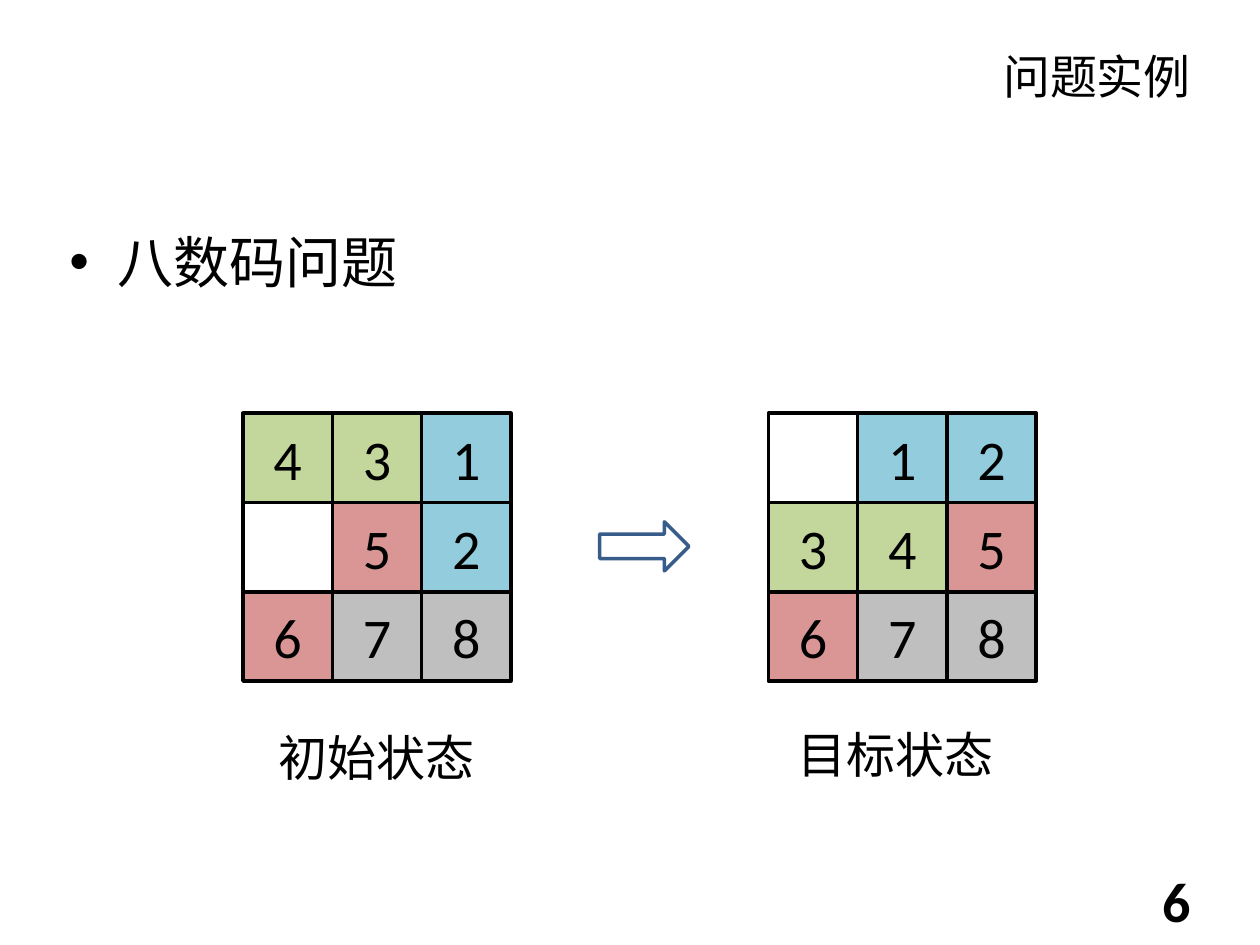
from dataclasses import dataclass

from lxml.etree import SubElement
from pptx import Presentation
from pptx.dml.color import RGBColor
from pptx.enum.shapes import MSO_SHAPE
from pptx.enum.text import MSO_ANCHOR, PP_ALIGN
from pptx.oxml.ns import qn
from pptx.util import Cm, Pt

LATIN = "Calibri"
CJK = "Noto Sans CJK SC"
BLACK, WHITE = "000000", "FFFFFF"
BLUE, GREEN, RED, GREY = "93CDDD", "C3D69B", "D99694", "BFBFBF"
TILE_FILLS = {
    " ": WHITE, "1": BLUE, "2": BLUE, "3": GREEN, "4": GREEN,
    "5": RED, "6": RED, "7": GREY, "8": GREY,
}
TILE = 1.8
BOARD_TOP = 8.33
INSET = 0.13


@dataclass
class Board:
    left: float
    rows: tuple[str, str, str]


@dataclass
class Label:
    text: str
    left: float
    top: float
    width: float
    height: float
    size: float
    font: str = CJK
    align: PP_ALIGN = PP_ALIGN.LEFT
    anchor: MSO_ANCHOR = MSO_ANCHOR.TOP
    bold: bool = False
    wrap: bool = True
    space_before: float = 0
    bullet: bool = False


BOARDS = (
    Board(4.9, ("431", " 52", "678")),
    Board(15.49, (" 12", "345", "678")),
)
LABELS = (
    Label("问题实例", 1.27, 0.76, 22.86, 1.55, 26.8,
          align=PP_ALIGN.RIGHT, anchor=MSO_ANCHOR.MIDDLE),
    Label("八数码问题", 1.27, 4.45, 22.86, 12.57, 32, space_before=7, bullet=True),
    Label("6", 23.19, 17.37, 0.94, 1.55, 32, LATIN, PP_ALIGN.RIGHT,
          MSO_ANCHOR.MIDDLE, bold=True, wrap=False, space_before=7),
    Label("初始状态", 5.49, 14.53, 4.24, 1.68, 28, wrap=False),
    Label("目标状态", 15.95, 14.48, 4.24, 1.68, 28, wrap=False),
)


def rgb(color: str) -> RGBColor:
    return RGBColor.from_string(color)


def write(sp, text: str, size: float, font: str, align, anchor, wrap=True):
    """Fill the shape with one paragraph and return that paragraph."""
    tf = sp.text_frame
    tf.margin_left = tf.margin_right = tf.margin_top = tf.margin_bottom = Cm(INSET)
    tf.vertical_anchor = anchor
    tf.word_wrap = wrap
    p = tf.paragraphs[0]
    p.text = text
    p.alignment = align
    p.font.size = Pt(size)
    p.font.name = font
    p.font.color.rgb = rgb(BLACK)
    # East Asian glyphs take their typeface from a:ea
    SubElement(p.font._element, qn("a:ea"), typeface=font)
    return p


def add_bullet(p) -> None:
    pPr = p._p.get_or_add_pPr()
    pPr.set("marL", str(Cm(0.97)))
    pPr.set("indent", str(-Cm(0.97)))
    bullet_font = pPr.makeelement(qn("a:buFont"), {"typeface": "Arial"})
    bullet = pPr.makeelement(qn("a:buChar"), {"char": "•"})
    def_rpr = pPr.find(qn("a:defRPr"))
    def_rpr.addprevious(bullet_font)
    def_rpr.addprevious(bullet)


def add_label(s, label: Label) -> None:
    sp = s.shapes.add_textbox(
        Cm(label.left), Cm(label.top), Cm(label.width), Cm(label.height))
    p = write(sp, label.text, label.size, label.font, label.align,
              label.anchor, label.wrap)
    p.font.bold = label.bold
    p.space_before = Pt(label.space_before)
    if label.bullet:
        add_bullet(p)


def add_outlined(s, kind, left: float, top: float, width: float, height: float,
                 fill: str, line: str):
    sp = s.shapes.add_shape(kind, Cm(left), Cm(top), Cm(width), Cm(height))
    sp.shadow.inherit = False
    sp.fill.solid()
    sp.fill.fore_color.rgb = rgb(fill)
    sp.line.color.rgb = rgb(line)
    sp.line.width = Pt(2)
    return sp


def add_board(s, board: Board) -> None:
    for row, digits in enumerate(board.rows):
        for col, digit in enumerate(digits):
            sp = add_outlined(
                s, MSO_SHAPE.RECTANGLE, board.left + col * TILE,
                BOARD_TOP + row * TILE, TILE, TILE, TILE_FILLS[digit], BLACK)
            if digit != " ":
                write(sp, digit, 32, LATIN, PP_ALIGN.CENTER, MSO_ANCHOR.MIDDLE)


def main() -> None:
    prs = Presentation()
    prs.slide_width, prs.slide_height = Cm(25.4), Cm(19.05)
    s = prs.slides.add_slide(prs.slide_layouts[6])
    for label in LABELS:
        add_label(s, label)
    for board in BOARDS:
        add_board(s, board)
    add_outlined(s, MSO_SHAPE.RIGHT_ARROW, 12.09, 10.52, TILE, 0.99, WHITE, "385D8A")
    prs.save("out.pptx")


if __name__ == "__main__":
    main()
